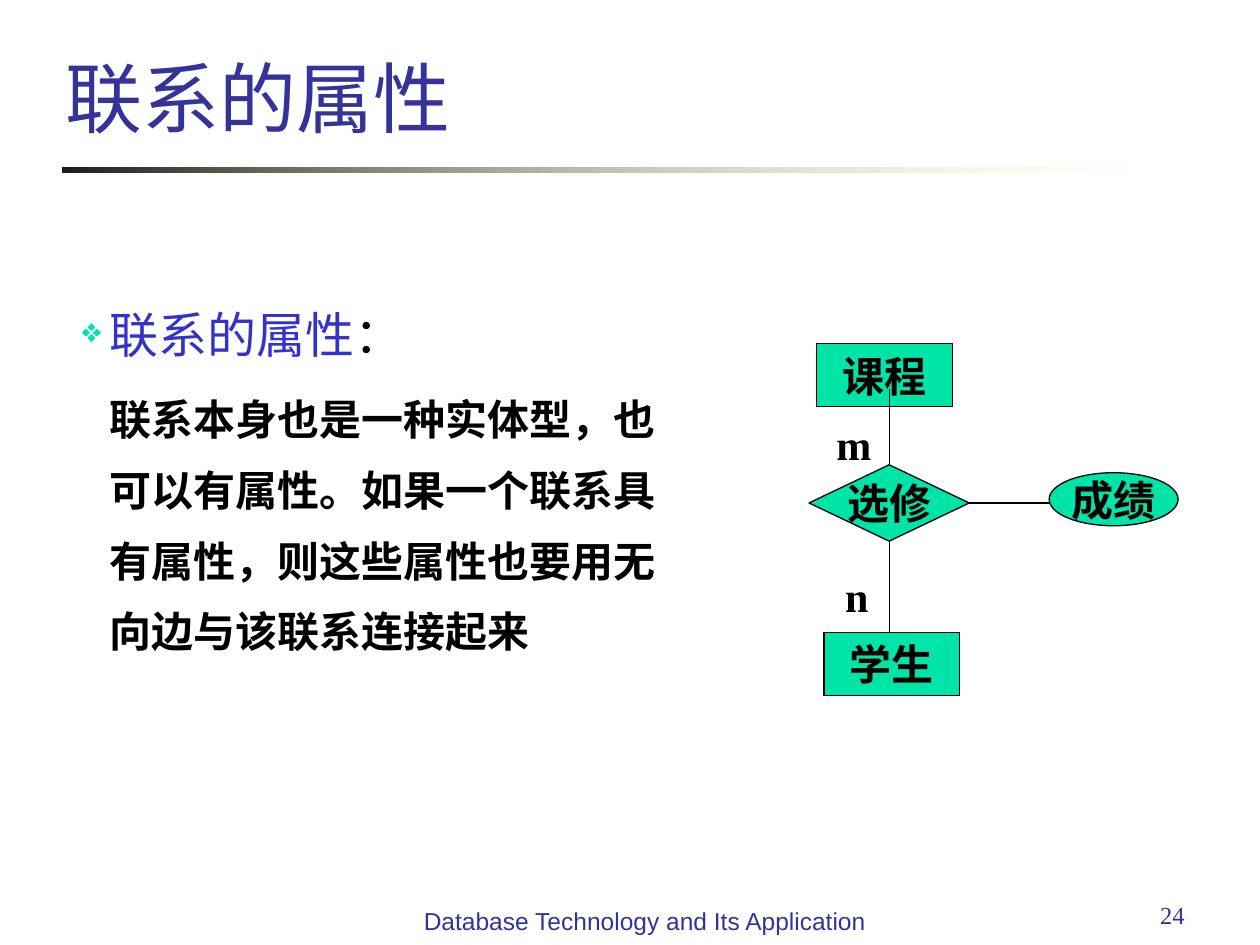
from dataclasses import dataclass

from lxml.etree import SubElement
from pptx import Presentation
from pptx.dml.color import RGBColor
from pptx.enum.shapes import MSO_CONNECTOR, MSO_SHAPE
from pptx.enum.text import MSO_ANCHOR, PP_ALIGN
from pptx.oxml.ns import qn
from pptx.util import Cm, Pt


@dataclass(frozen=True)
class Theme:
    navy: RGBColor = RGBColor(0x33, 0x33, 0x99)
    blue: RGBColor = RGBColor(0x33, 0x33, 0xCC)
    green: RGBColor = RGBColor(0x00, 0xE4, 0xA8)
    black: RGBColor = RGBColor(0, 0, 0)
    rule_dark: RGBColor = RGBColor(0x1C, 0x1C, 0x1C)
    rule_light: RGBColor = RGBColor(0xFF, 0xFF, 0xB7)
    sans: str = "Arial"
    serif: str = "Times New Roman"
    title: int = 44
    heading: int = 28
    body: int = 24
    footer: int = 14
    outline: float = 0.75


theme = Theme()


def style(para, size, color, name=theme.serif, bold=False, align=PP_ALIGN.LEFT):
    para.alignment = align
    para.font.size = Pt(size)
    para.font.name = name
    para.font.bold = bold
    para.font.color.rgb = color


def add_text(left, top, width, height):
    box = page.shapes.add_textbox(Cm(left), Cm(top), Cm(width), Cm(height))
    box.text_frame.word_wrap = True
    return box.text_frame


deck = Presentation()
deck.slide_width, deck.slide_height = Cm(25.4), Cm(19.05)
page = deck.slides.add_slide(deck.slide_layouts[5])

# Title
title = page.shapes.title
title.left, title.top, title.width, title.height = Cm(1.07), Cm(0), Cm(22.3), Cm(3)
title.text_frame.text = "联系的属性"
title.text_frame.vertical_anchor = MSO_ANCHOR.BOTTOM
style(title.text_frame.paragraphs[0], theme.title, theme.navy, theme.sans)

# Fading rule under the title
rule = page.shapes.add_shape(MSO_SHAPE.RECTANGLE, Cm(1.27), Cm(3.38), Cm(22.86), Cm(0.1))
rule.shadow.inherit = False
rule.line.fill.background()
rule.fill.gradient()
rule.fill.gradient_angle = 0
for stop, color in zip(rule.fill.gradient_stops, (theme.rule_dark, theme.rule_light)):
    stop.color.rgb = color
last_color = list(rule._element.spPr.iter(qn("a:srgbClr")))[-1]
SubElement(last_color, qn("a:alpha"), val="0")

# Entities, relationship and attribute
nodes = {}
for name, kind, left, top, width, height in (
    ("课程", MSO_SHAPE.RECTANGLE, 16.46, 6.93, 2.74, 1.27),
    ("选修", MSO_SHAPE.DIAMOND, 16.31, 9.37, 3.23, 1.54),
    ("学生", MSO_SHAPE.RECTANGLE, 16.61, 12.75, 2.74, 1.27),
    ("成绩", MSO_SHAPE.OVAL, 21.15, 9.53, 2.6, 1.07),
):
    node = page.shapes.add_shape(kind, Cm(left), Cm(top), Cm(width), Cm(height))
    node.shadow.inherit = False
    node.fill.solid()
    node.fill.fore_color.rgb = theme.green
    node.line.color.rgb = theme.black
    node.line.width = Pt(theme.outline)
    node.text_frame.word_wrap = False
    node.text_frame.vertical_anchor = MSO_ANCHOR.MIDDLE
    node.text_frame.text = name
    style(node.text_frame.paragraphs[0], theme.body, theme.black,
          bold=True, align=PP_ALIGN.CENTER)
    nodes[name] = node

# Edges leaving the relationship diamond
diamond = nodes["选修"]
middle_x = diamond.left + diamond.width // 2
middle_y = diamond.top + diamond.height // 2
for site, end_x, end_y in (
    (0, middle_x, Cm(7.85)),
    (2, middle_x, nodes["学生"].top),
    (3, nodes["成绩"].left, middle_y),
):
    edge = page.shapes.add_connector(MSO_CONNECTOR.STRAIGHT, middle_x, middle_y, end_x, end_y)
    edge.begin_connect(diamond, site)
    edge.line.color.rgb = theme.black
    edge.line.width = Pt(theme.outline)
    SubElement(edge._element.spPr, qn("a:effectLst"))

# Cardinalities
for label, left, top in (("m", 16.61, 8.31), ("n", 16.79, 11.38)):
    frame = add_text(left, top, 0.81, 1.27)
    frame.text = label
    style(frame.paragraphs[0], theme.body, theme.black, bold=True)

# Explanation with a bulleted heading
frame = add_text(0.69, 5.54, 13.41, 8.84)
heading, body = frame.paragraphs[0], frame.add_paragraph()
for para, size, before, indent in (
    (heading, theme.heading, 7, -0.56),
    (body, theme.body, 6, 0),
):
    style(para, size, theme.black, bold=para is body)
    para.line_spacing = 1.4
    para.space_before = Pt(before)
    properties = para._p.get_or_add_pPr()
    properties.set("marL", str(Cm(1.27)))
    properties.set("indent", str(Cm(indent)))

term = heading.add_run()
term.text = "联系的属性"
term.font.color.rgb = theme.blue
heading.add_run().text = "："
body.text = "联系本身也是一种实体型，也可以有属性。如果一个联系具有属性，则这些属性也要用无向边与该联系连接起来"

properties = heading._p.get_or_add_pPr()
bullet_parts = []
bullet_color = SubElement(properties, qn("a:buClr"))
SubElement(bullet_color, qn("a:srgbClr"), val=str(theme.green))
bullet_parts.append(bullet_color)
bullet_parts.append(SubElement(properties, qn("a:buSzPct"), val="70000"))
bullet_parts.append(SubElement(properties, qn("a:buChar"), char="❖"))
for part in bullet_parts:
    properties.find(qn("a:defRPr")).addprevious(part)

# Footer and page number
for text, left, top, width, name, align in (
    ("24", 18.21, 18.01, 5.92, theme.serif, PP_ALIGN.RIGHT),
    ("Database Technology and Its Application", 8.1, 18.14, 9.8, theme.sans, PP_ALIGN.CENTER),
):
    frame = add_text(left, top, width, 1.32)
    frame.text = text
    style(frame.paragraphs[0], theme.footer, theme.navy, name, align=align)

deck.save("out.pptx")
